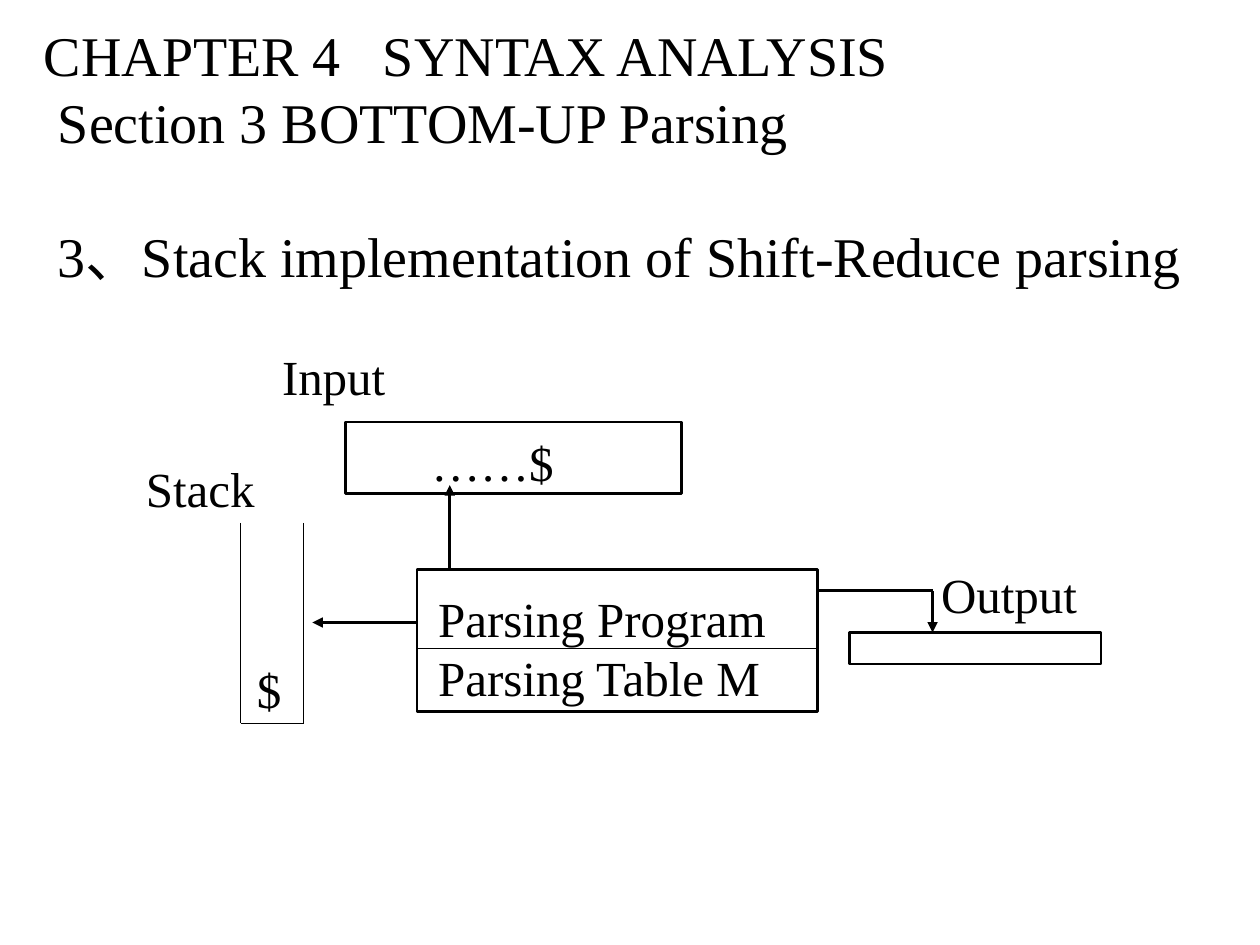
from lxml.etree import SubElement
from pptx import Presentation
from pptx.dml.color import RGBColor
from pptx.enum.shapes import MSO_CONNECTOR, MSO_SHAPE
from pptx.enum.text import MSO_ANCHOR, PP_ALIGN
from pptx.oxml.ns import qn
from pptx.util import Pt

BLACK = RGBColor(0, 0, 0)
WHITE = RGBColor(255, 255, 255)
FONT = "Times New Roman"
THICK, THIN = 1.5, 0.75
LABEL_SIZE, TITLE_SIZE = 28, 32


def write(frame, lines, size=LABEL_SIZE, wrap=False, anchor=MSO_ANCHOR.TOP):
    """Fill a frame with left-aligned lines and return the paragraphs."""
    frame.word_wrap = wrap
    frame.vertical_anchor = anchor
    frame.margin_left = frame.margin_right = Pt(7.2)
    frame.margin_top, frame.margin_bottom = Pt(6), Pt(3.6)
    for index, line in enumerate(lines):
        paragraph = frame.paragraphs[0] if index == 0 else frame.add_paragraph()
        paragraph.alignment = PP_ALIGN.LEFT
        paragraph.line_spacing = Pt(size * 1.2)
        run = paragraph.add_run()
        run.text = line
        run.font.name = FONT
        run.font.size = Pt(size)
        run.font.color.rgb = BLACK
    return frame.paragraphs


def add_text(slide, box, lines, **options):
    """Add a text box with the given lines."""
    text = slide.shapes.add_textbox(*map(Pt, box))
    return write(text.text_frame, lines, **options)


def add_frame(slide, box):
    """Add an outlined rectangle without fill."""
    frame = slide.shapes.add_shape(MSO_SHAPE.RECTANGLE, *map(Pt, box))
    frame.shadow.inherit = False
    frame.fill.background()
    frame.line.color.rgb = BLACK
    frame.line.width = Pt(THICK)
    return frame


def add_line(slide, start, end, width=THICK, arrow=False):
    """Add a straight line, with an arrowhead at its end if asked."""
    line = slide.shapes.add_connector(
        MSO_CONNECTOR.STRAIGHT, *map(Pt, (*start, *end)))
    line.line.color.rgb = BLACK
    line.line.width = Pt(width)
    if arrow:
        SubElement(line.line._get_or_add_ln(), qn("a:tailEnd"), type="triangle")
    SubElement(line._element.spPr, qn("a:effectLst"))


def draw_title(slide, box):
    """Place the chapter, section and topic lines."""
    chapter, section, topic = add_text(
        slide, box,
        ["CHAPTER 4   SYNTAX ANALYSIS", "Section 3 BOTTOM-UP Parsing",
         "3、Stack implementation of Shift-Reduce parsing"],
        size=TITLE_SIZE, wrap=True, anchor=MSO_ANCHOR.MIDDLE)
    for paragraph in (section, topic):
        paragraph._p.get_or_add_pPr().set("marL", str(Pt(8)))
    topic.space_before = Pt(TITLE_SIZE * 1.2)


def draw_parser(slide, box):
    """Place the program and table box with its arrows to stack and input."""
    left, top, width, height = box
    add_frame(slide, box)
    add_text(slide, (left + 5, top + 5, width - 5, height - 6),
             ["Parsing Program", "Parsing Table M"], wrap=True)
    divider = top + 45.4
    add_line(slide, (left, divider), (left + width, divider), THIN)
    add_line(slide, (left + 18.7, top), (left + 18.7, top - 48.2), arrow=True)
    add_line(slide, (left, top + 30.3), (left - 59.8, top + 30.3), arrow=True)


def draw_output(slide, box):
    """Place the output box, its label and the bent arrow leading in."""
    left, top, width, height = box
    add_frame(slide, box)
    bend = left + 47.6
    add_line(slide, (left - 18, top - 23.8), (bend, top - 23.8))
    add_line(slide, (bend, top - 23.8), (bend, top), arrow=True)
    add_text(slide, (left + 45.4, top - 44.6, 98.6, 41), ["Output"])


def draw_input(slide, box):
    """Place the input buffer and its label."""
    left, top, width, height = box
    buffer = add_frame(slide, box)
    write(buffer.text_frame, ["……$"], wrap=True)
    buffer.text_frame.margin_left = Pt(49.2)
    add_text(slide, (left - 43.2, top - 49, 80, 41), ["Input"])


def draw_stack(slide, box):
    """Place the open-topped stack, its bottom symbol and its label."""
    left, top, width, height = box
    right, bottom = left + width, top + height
    for x in (left, right):
        add_line(slide, (x, top), (x, bottom), THIN)
    add_line(slide, (left, bottom), (right, bottom), THIN)
    add_text(slide, (left + 2.2, bottom - 74.2, 28, 75), ["$"],
             anchor=MSO_ANCHOR.BOTTOM)
    add_text(slide, (left - 61.2, top - 42.5, 83.5, 41), ["Stack"])


def main():
    """Build and save the slide."""
    deck = Presentation()
    deck.slide_width, deck.slide_height = Pt(720), Pt(540)
    slide = deck.slides.add_slide(deck.slide_layouts[6])
    slide.background.fill.solid()
    slide.background.fill.fore_color.rgb = WHITE
    draw_title(slide, (18, 12.2, 702, 149.8))
    draw_parser(slide, (238.3, 325.4, 229, 81.4))
    draw_output(slide, (485.3, 361.4, 144, 18))
    draw_input(slide, (197.3, 241.2, 192.2, 41))
    draw_stack(slide, (137.5, 298.8, 36, 114.5))
    deck.save("out.pptx")


if __name__ == "__main__":
    main()
